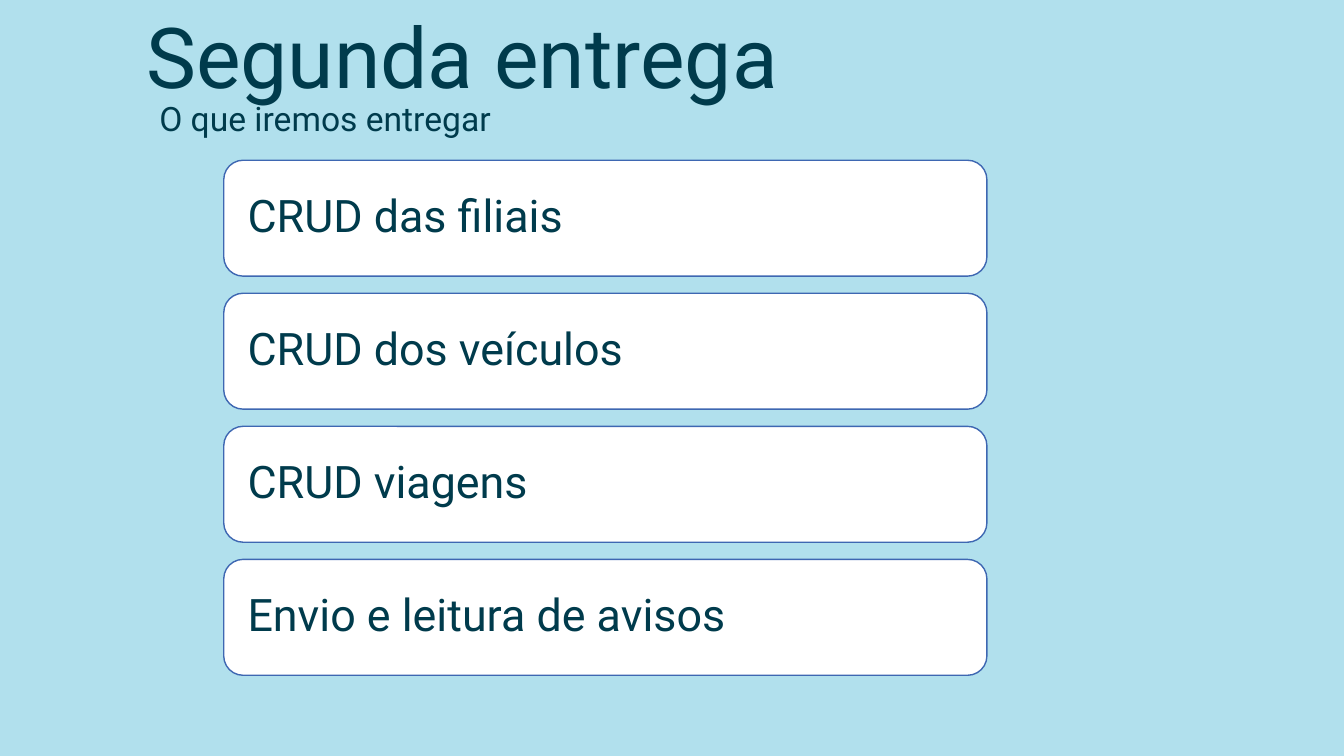
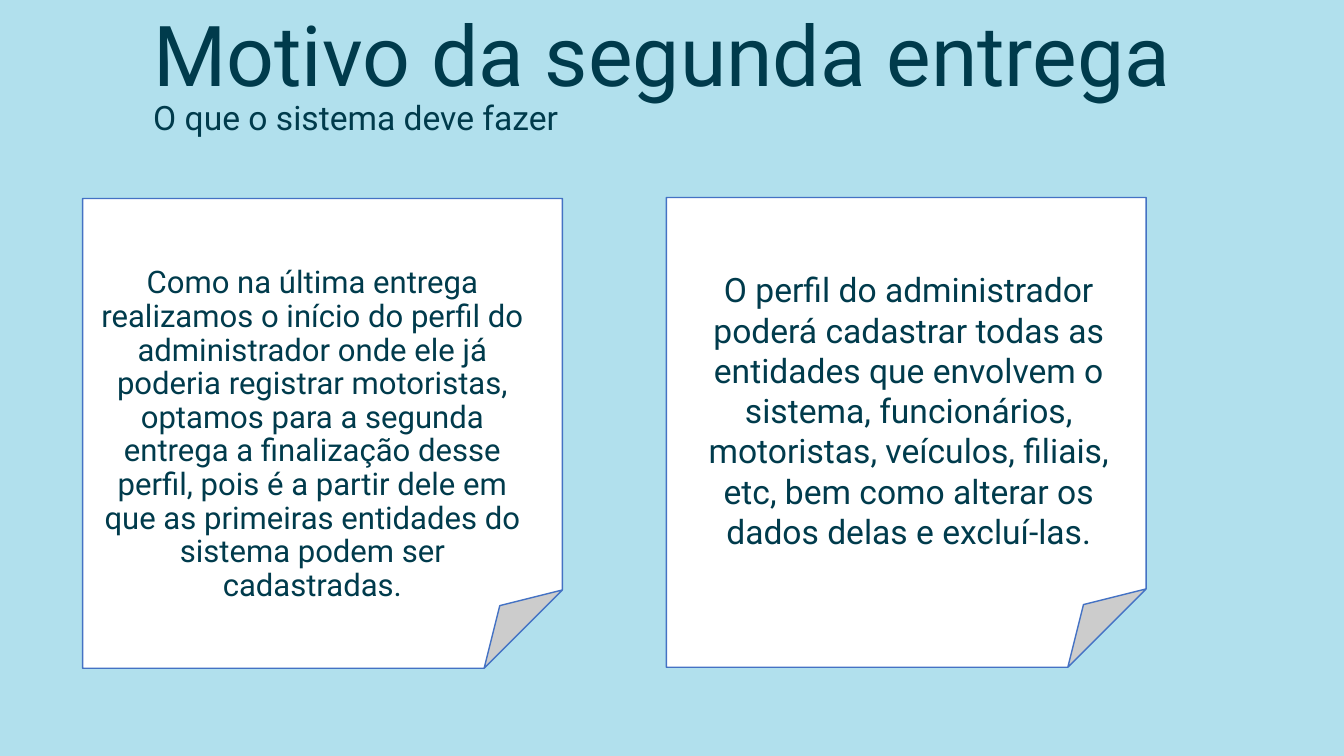
from pptx import Presentation
from pptx.dml.color import RGBColor
from pptx.enum.shapes import MSO_SHAPE
from pptx.enum.text import MSO_ANCHOR, MSO_AUTO_SIZE, PP_ALIGN
from pptx.oxml.ns import qn
from pptx.util import Inches, Pt

ROUNDED, FOLDED = MSO_SHAPE.ROUNDED_RECTANGLE, MSO_SHAPE.FOLDED_CORNER
TOP, MIDDLE, BOTTOM = MSO_ANCHOR.TOP, MSO_ANCHOR.MIDDLE, MSO_ANCHOR.BOTTOM
LEFT, CENTER = PP_ALIGN.LEFT, PP_ALIGN.CENTER
NO_FIT = MSO_AUTO_SIZE.NONE

FONT = "Roboto"
COLORS = {
    "background": "B1E0ED",
    "ink": "003B4C",
    "paper": "FFFFFF",
    "card_line": "3E67B2",
    "note_line": "4472C4",
}


def color(name):
    return RGBColor.from_string(COLORS[name])


def write(tf, text, size, align=LEFT, anchor=TOP, spacing=0.9):
    tf.word_wrap = True
    tf.auto_size = NO_FIT
    tf.vertical_anchor = anchor
    p = tf.paragraphs[0]
    p.alignment = align
    p.line_spacing = spacing
    p.space_before = Pt(0)
    r = p.add_run()
    r.text = text
    r.font.name = FONT
    r.font.size = Pt(size)
    r.font.color.rgb = color("ink")
    return p


class Deck:
    def __init__(self):
        self.prs = Presentation()
        self.prs.slide_width = Inches(13.33)
        self.prs.slide_height = Inches(7.5)
        fill = self.prs.slide_master.background.fill
        fill.solid()
        fill.fore_color.rgb = color("background")
        self.s = None

    def x(self, percent):
        return round(self.prs.slide_width * percent / 100)

    def y(self, percent):
        return round(self.prs.slide_height * percent / 100)

    def place(self, sp, left, top, width, height):
        sp.left, sp.top = self.x(left), self.y(top)
        sp.width, sp.height = self.x(width), self.y(height)

    def slide(self, title, subtitle, title_box, subtitle_box):
        self.s = self.prs.slides.add_slide(self.prs.slide_layouts[1])
        heading, body = self.s.placeholders
        self.place(heading, *title_box)
        write(heading.text_frame, title, 60, anchor=BOTTOM)
        self.place(body, *subtitle_box)
        p = write(body.text_frame, subtitle, 24)
        pPr = p._p.get_or_add_pPr()
        pPr.set("marL", "0")
        pPr.set("indent", "0")
        pPr.append(pPr.makeelement(qn("a:buNone"), {}))

    def panel(self, kind, box, line):
        left, top, width, height = box
        sp = self.s.shapes.add_shape(
            kind, self.x(left), self.y(top), self.x(width), self.y(height))
        sp.shadow.inherit = False
        sp.fill.solid()
        sp.fill.fore_color.rgb = color("paper")
        sp.line.color.rgb = color(line)
        sp.line.width = Pt(1)
        return sp.text_frame

    def card(self, text, top):
        tf = self.panel(ROUNDED, (16.65, top, 56.78, 15.33), "card_line")
        tf.margin_left = self.x(1.35)
        write(tf, text, 32, anchor=MIDDLE)

    def note(self, text, left, top, margins, size, spacing):
        tf = self.panel(FOLDED, (left, top, 35.7, 62.13), "note_line")
        inner_left, inner_top, inner_right = margins
        tf.margin_left, tf.margin_right = self.x(inner_left), self.x(inner_right)
        tf.margin_top, tf.margin_bottom = self.y(inner_top), 0
        write(tf, text, size, align=CENTER, spacing=spacing)


def main():
    deck = Deck()

    deck.slide("Segunda entrega", "O que iremos entregar",
               (10.13, 0, 86.25, 14.8), (11.1, 12.93, 86.25, 8))
    deliveries = ["CRUD das filiais", "CRUD dos veículos",
                  "CRUD viagens", "Envio e leitura de avisos"]
    for i, delivery in enumerate(deliveries):
        deck.card(delivery, 21.2 + 17.6 * i)

    deck.slide("Motivo da segunda entrega", "O que o sistema deve fazer",
               (10.65, 0, 86.25, 14.53), (10.65, 12.8, 86.25, 8))
    deck.note(
        "Como na última entrega realizamos o início do perfil do administrador "
        "onde ele já poderia registrar motoristas, optamos para a segunda "
        "entrega a finalização desse perfil, pois é a partir dele em que as "
        "primeiras entidades do sistema podem ser cadastradas.",
        6.15, 26.27, margins=(1.13, 9.07, 2.63), size=22.2, spacing=0.9)
    deck.note(
        "O perfil do administrador poderá cadastrar todas as entidades que "
        "envolvem o sistema, funcionários, motoristas, veículos, filiais, etc, "
        "bem como alterar os dados delas e excluí-las.",
        49.58, 26.13, margins=(1.5, 9.47, 1.13), size=24, spacing=1.0)

    deck.prs.save("out.pptx")


if __name__ == "__main__":
    main()
